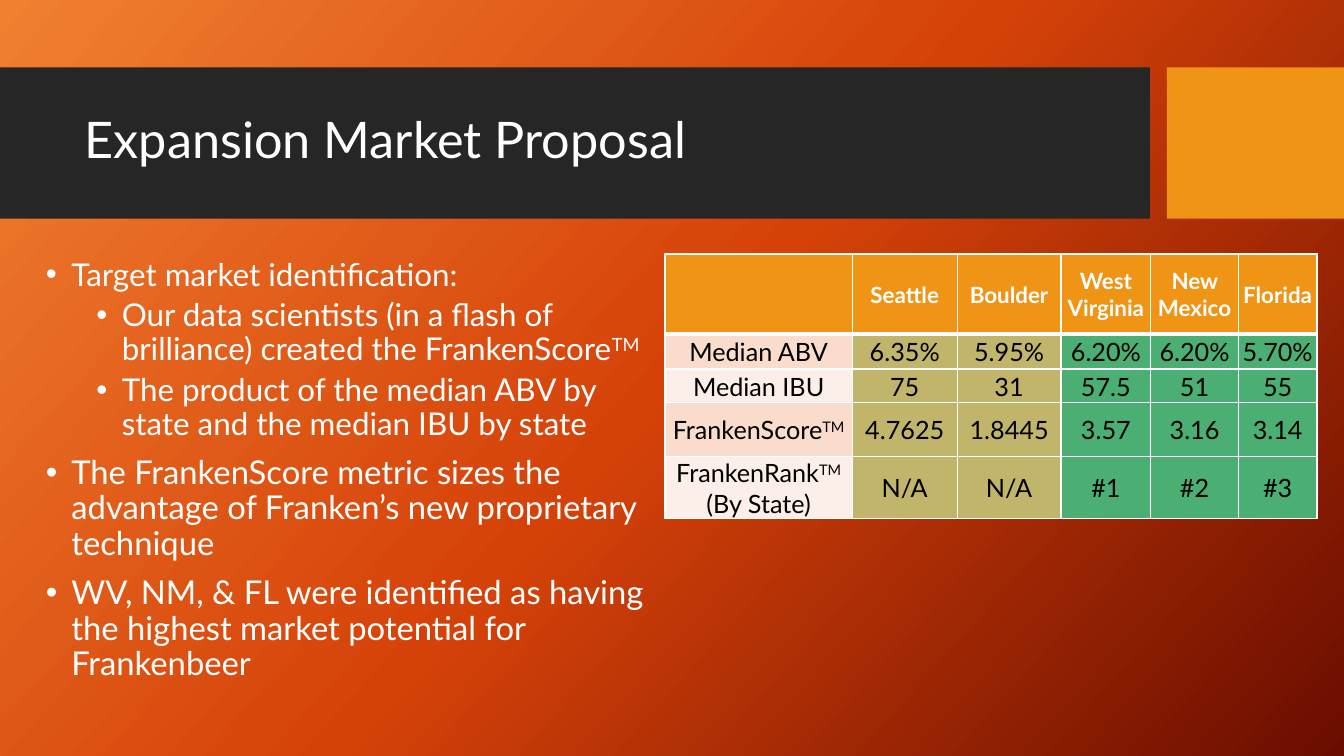
from copy import deepcopy
from dataclasses import dataclass

from lxml import etree
from pptx import Presentation
from pptx import util as u
from pptx.dml.color import RGBColor
from pptx.enum import shapes, text
from pptx.oxml.ns import qn
from pptx.slide import Slide
from pptx.table import _Cell as Cell
from pptx.text.text import _Paragraph as Paragraph

FONT = "Lato"
COLORS = {
    "white": "FFFFFF", "black": "000000", "band": "262626", "accent": "F09415",
    "label_dark": "F9DCCC", "label_light": "FCEEE8",
    "current": "C1B56B", "proposed": "4BAF73",
}
BACKGROUND_STOPS = [(0, "F18031"), (0.5, "D54209"), (1, "6A0D00")]
BACKGROUND_ANGLE = 42  # clockwise


@dataclass
class Band:
    left: float
    width: float
    color: str


@dataclass
class Bullet:
    words: str
    size: float
    level: int = 0


BANDS = [Band(0, 28.98, "band"), Band(29.41, 4.46, "accent")]
BAND_TOP, BAND_HEIGHT = 1.7, 3.81

# Text between carets is raised
BULLETS = [
    Bullet("Target market identification:", 22.4),
    Bullet("Our data scientists (in a flash of brilliance) created the "
           "FrankenScore^TM^", 22.4, 1),
    Bullet("The product of the median ABV by state and the median IBU by state", 22.4, 1),
    Bullet("The FrankenScore metric sizes the advantage of Franken’s new "
           "proprietary technique", 23.4),
    Bullet("WV, NM, & FL were identified as having the highest market potential "
           "for Frankenbeer", 23.4),
]

MARKET_ROWS = [
    ["", "Seattle", "Boulder", "West Virginia", "New Mexico", "Florida"],
    ["Median ABV", "6.35%", "5.95%", "6.20%", "6.20%", "5.70%"],
    ["Median IBU", "75", "31", "57.5", "51", "55"],
    ["FrankenScore^TM^", "4.7625", "1.8445", "3.57", "3.16", "3.14"],
    ["FrankenRank^TM^ (By State)", "N/A", "N/A", "#1", "#2", "#3"],
]
COLUMN_WIDTHS = [4.72, 2.64, 2.62, 2.26, 2.21, 1.98]
ROW_HEIGHTS = [2.01, 0.89, 0.84, 1.37, 0.81]


def rgb(name: str) -> RGBColor:
    return RGBColor.from_string(COLORS[name])


def write(paragraph: Paragraph, words: str, *, size: float, color: str = "white",
          bold: bool = False, align=text.PP_ALIGN.LEFT, spacing: float = 1.0,
          before: float = 0) -> None:
    paragraph.alignment = align
    paragraph.line_spacing = spacing
    paragraph.space_before = u.Pt(before)
    for index, part in enumerate(words.split("^")):
        if not part:
            continue
        run = paragraph.add_run()
        run.text = part
        run.font.name = FONT
        run.font.size = u.Pt(size)
        run.font.bold = bold
        run.font.color.rgb = rgb(color)
        if index % 2:
            run.font._element.set("baseline", "30000")


def paint_background(slide: Slide) -> None:
    fill = slide.background.fill
    fill.gradient()
    fill.gradient_angle = 360 - BACKGROUND_ANGLE
    stop_list = slide.element.find(".//" + qn("a:gsLst"))
    stop_list.append(deepcopy(stop_list[-1]))
    for stop, (position, color) in zip(fill.gradient_stops, BACKGROUND_STOPS):
        stop.position = position
        stop.color.rgb = RGBColor.from_string(color)


def add_title(slide: Slide, words: str) -> None:
    title = slide.shapes.title
    title.left, title.top = u.Cm(1.88), u.Cm(2.08)
    title.width, title.height = u.Cm(26.7), u.Cm(3)
    frame = title.text_frame
    frame.auto_size = text.MSO_AUTO_SIZE.NONE
    frame.word_wrap = True
    frame.vertical_anchor = text.MSO_ANCHOR.MIDDLE
    write(frame.paragraphs[0], words, size=36, spacing=0.9)


def add_band(slide: Slide, band: Band) -> None:
    shape = slide.shapes.add_shape(
        shapes.MSO_SHAPE.RECTANGLE, u.Cm(band.left), u.Cm(BAND_TOP),
        u.Cm(band.width), u.Cm(BAND_HEIGHT))
    shape.shadow.inherit = False
    shape.fill.solid()
    shape.fill.fore_color.rgb = rgb(band.color)
    shape.line.fill.background()
    # Keep the band behind the title
    slide.shapes.title.element.addprevious(shape.element)


def add_bullets(slide: Slide, bullets: list[Bullet]) -> None:
    box = slide.shapes.add_textbox(u.Cm(0.91), u.Cm(6.4), u.Cm(15.65), u.Cm(11.66))
    frame = box.text_frame
    frame.word_wrap = True
    for index, bullet in enumerate(bullets):
        paragraph = frame.add_paragraph() if index else frame.paragraphs[0]
        paragraph.level = bullet.level
        write(paragraph, bullet.words, size=bullet.size, spacing=0.9,
              before=5 if bullet.level else 10)
        properties = paragraph._p.get_or_add_pPr()
        properties.set("marL", str(u.Cm(0.64 + 1.27 * bullet.level)))
        properties.set("indent", str(-u.Cm(0.64)))
        etree.SubElement(properties, qn("a:buFont"), typeface="Arial")
        etree.SubElement(properties, qn("a:buChar"), char="•")


def set_borders(cell: Cell, top: float, bottom: float) -> None:
    properties = cell._tc.get_or_add_tcPr()
    edges = {"a:lnL": 1, "a:lnR": 1, "a:lnT": top, "a:lnB": bottom}
    for index, (tag, width) in enumerate(edges.items()):
        line = etree.Element(qn(tag), w=str(u.Pt(width)))
        fill = etree.SubElement(line, qn("a:solidFill"))
        etree.SubElement(fill, qn("a:srgbClr"), val=COLORS["white"])
        properties.insert(index, line)


def cell_color(row: int, column: int) -> str:
    if row == 0:
        return "accent"
    if column == 0:
        return "label_dark" if row % 2 else "label_light"
    return "current" if column < 3 else "proposed"


def add_market_table(slide: Slide) -> None:
    table = slide.shapes.add_table(
        len(ROW_HEIGHTS), len(COLUMN_WIDTHS), u.Cm(16.76), u.Cm(6.4),
        u.Cm(sum(COLUMN_WIDTHS)), u.Cm(sum(ROW_HEIGHTS))).table
    for column, width in zip(table.columns, COLUMN_WIDTHS):
        column.width = u.Cm(width)
    for row, height in zip(table.rows, ROW_HEIGHTS):
        row.height = u.Cm(height)
    for row, values in enumerate(MARKET_ROWS):
        header = row == 0
        for column, words in enumerate(values):
            cell = table.cell(row, column)
            cell.fill.solid()
            cell.fill.fore_color.rgb = rgb(cell_color(row, column))
            cell.margin_left = cell.margin_right = cell.margin_top = u.Cm(0.03)
            cell.margin_bottom = 0
            cell.vertical_anchor = text.MSO_ANCHOR.MIDDLE
            write(cell.text_frame.paragraphs[0], words, size=16 if header else 18,
                  color="white" if header else "black", bold=header,
                  align=text.PP_ALIGN.CENTER)
            set_borders(cell, top=3 if row == 1 else 1, bottom=3 if header else 1)


def main() -> None:
    presentation = Presentation()
    presentation.slide_width, presentation.slide_height = u.Cm(33.87), u.Cm(19.05)
    slide = presentation.slides.add_slide(presentation.slide_layouts[5])
    paint_background(slide)
    for band in BANDS:
        add_band(slide, band)
    add_title(slide, "Expansion Market Proposal")
    add_bullets(slide, BULLETS)
    add_market_table(slide)
    presentation.save("out.pptx")


if __name__ == "__main__":
    main()
